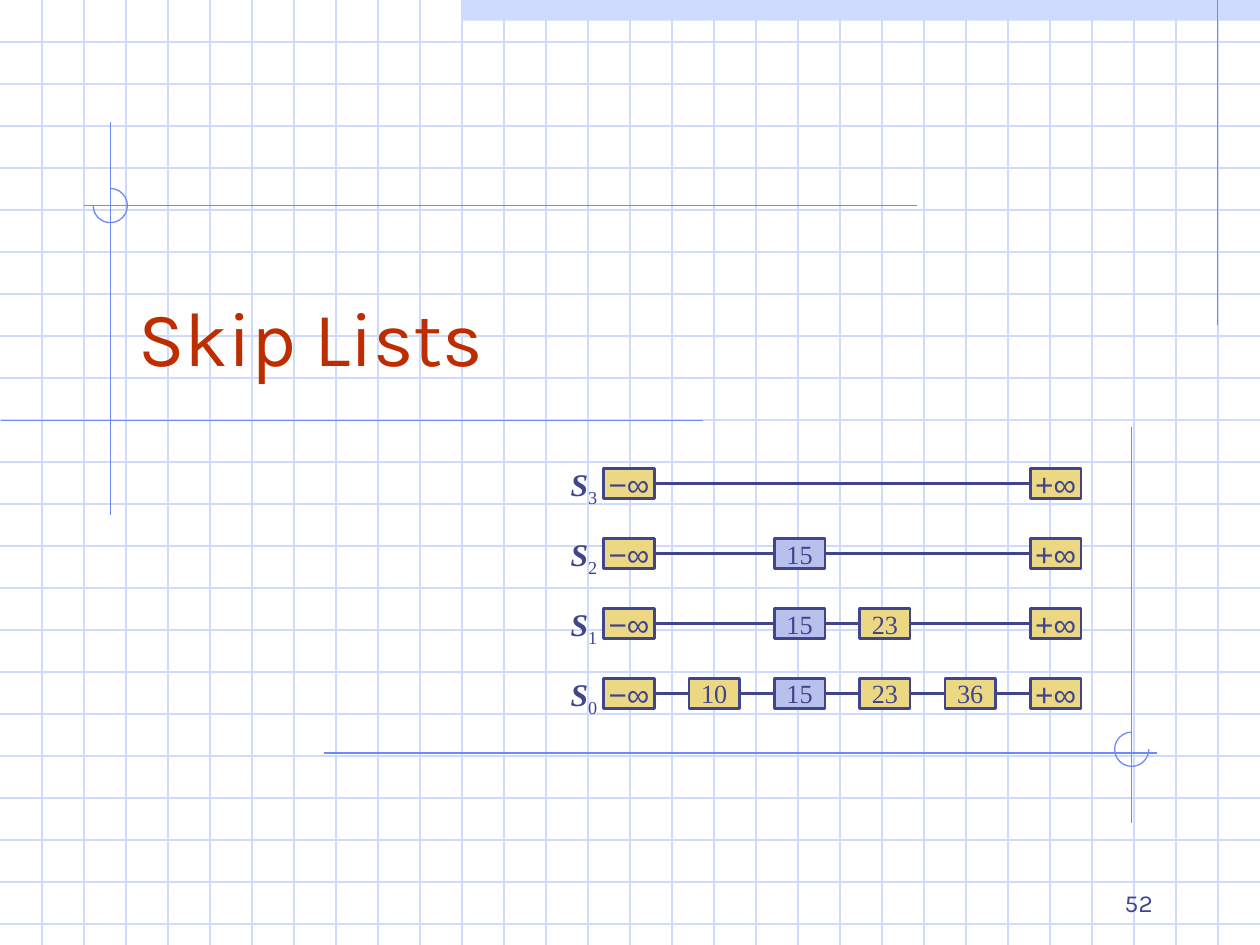
from lxml.etree import SubElement
from pptx import Presentation
from pptx.dml.color import RGBColor
from pptx.enum.shapes import MSO_CONNECTOR as Link, MSO_SHAPE as Shape
from pptx.enum.text import MSO_ANCHOR as Anchor, PP_ALIGN as Align
from pptx.oxml.ns import qn
from pptx.util import Cm, Pt

GRID, ACCENT, INK = "CFDBFD", "6F89F7", "40458C"
YELLOW, BLUE, RED = "ECD882", "B7C1EB", "BE2D00"
WIDTH, HEIGHT = 25.4, 19.05


def paint(fill, color):
    """Make a shape, line or font fill solid with a hex colour."""
    fill.solid()
    fill.fore_color.rgb = RGBColor.from_string(color)


def write(box, text, size, font="Times New Roman", color=INK, align=Align.CENTER,
          anchor=Anchor.MIDDLE, wrap=False, strong=False, subscript=""):
    """Fill a box with one line; strong makes the main text bold italic."""
    frame = box.text_frame
    frame.word_wrap = wrap
    frame.vertical_anchor = anchor
    para = frame.paragraphs[0]
    para.alignment = align
    for part in filter(None, (text, subscript)):
        span = para.add_run()
        span.text = part
        span.font.size = Pt(size)
        span.font.name = font
        span.font.bold = span.font.italic = strong and part == text
        paint(span.font.fill, color)
    if subscript:
        span.font._element.set("baseline", "-25000")


deck = Presentation()
deck.slide_width, deck.slide_height = Cm(WIDTH), Cm(HEIGHT)
page = deck.slides.add_slide(deck.slide_layouts[6])
shapes = page.shapes

# Background: top bar, square grid, accent lines and three-quarter rings
bar = shapes.add_shape(Shape.RECTANGLE, Cm(9.31), 0, Cm(16.09), Cm(0.42))
bar.shadow.inherit = False
paint(bar.fill, GRID)
bar.line.fill.background()

step = WIDTH / 30
rules = [(0, row * step, WIDTH, row * step, GRID) for row in range(1, 23)]
rules += [(col * step, 0, col * step, HEIGHT, GRID) for col in range(1, 30)]
rules += [
    (24.55, 0, 24.55, 6.55, ACCENT),
    (2.23, 2.46, 2.23, 10.39, ACCENT),
    (14.17, 8.48, 0.02, 8.48, ACCENT),
    (18.49, 4.14, 1.7, 4.14, ACCENT),
    (6.53, 15.18, 23.32, 15.18, ACCENT),
    (22.81, 8.61, 22.81, 16.6, ACCENT),
]
for x1, y1, x2, y2, color in rules:
    rule = shapes.add_connector(Link.STRAIGHT, Cm(x1), Cm(y1), Cm(x2), Cm(y2))
    paint(rule.line.fill, color)
    rule.line.width = Pt(0.75)

for left, top, start, end in [(1.88, 3.8, -90, 180), (22.47, 14.76, 0, -90)]:
    ring = shapes.add_shape(Shape.ARC, Cm(left), Cm(top), Cm(0.69), Cm(0.69))
    ring.shadow.inherit = False
    ring.fill.background()
    paint(ring.line.fill, ACCENT)
    ring.line.width = Pt(0.75)
    # Angles are stored in 60000ths of a degree, adjustments in 100000ths
    ring.adjustments[0] = start % 360 * 0.6
    ring.adjustments[1] = end % 360 * 0.6

title = shapes.add_textbox(Cm(2.54), Cm(4.65), Cm(21.59), Cm(3.18))
write(title, "Skip Lists", 44, font="Karla", color=RED, align=Align.LEFT,
      anchor=Anchor.BOTTOM, wrap=True)

# Skip list: each key keeps its column on every level
columns = ["−∞", "10", "15", "23", "36", "+∞"]
levels = {
    "3": ["−∞", "+∞"],
    "2": ["−∞", "15", "+∞"],
    "1": ["−∞", "15", "23", "+∞"],
    "0": columns,
}
for row, (level, keys) in enumerate(levels.items()):
    top = 9.45 + row * 1.41
    label = shapes.add_textbox(Cm(11.25), Cm(top - 0.2), Cm(1.04), Cm(1.12))
    write(label, "S", 18, anchor=Anchor.TOP, strong=True, subscript=level)
    previous = None
    for key in keys:
        left = 12.17 + columns.index(key) * 1.72
        node = shapes.add_shape(Shape.RECTANGLE, Cm(left), Cm(top), Cm(1.02), Cm(0.6))
        node.shadow.inherit = False
        paint(node.fill, BLUE if key == "15" else YELLOW)
        paint(node.line.fill, INK)
        node.line.width = Pt(1.5)
        if key.isdigit():
            write(node, key, 15)
        else:
            write(node, key, 18, font="Arial")
        if previous:
            link = shapes.add_connector(Link.STRAIGHT, 0, 0, 0, 0)
            link.begin_connect(previous, 3)
            link.end_connect(node, 1)
            paint(link.line.fill, INK)
            link.line.width = Pt(1.5)
        previous = node

number = shapes.add_textbox(Cm(18.21), Cm(17.35), Cm(5.28), Cm(1.27))
write(number, "52", 14, font="Karla", align=Align.RIGHT, anchor=Anchor.BOTTOM, wrap=True)

# Connectors have no shadow property, so an empty effect list turns it off
for connector in shapes._spTree.iter(qn("p:cxnSp")):
    SubElement(connector.spPr, qn("a:effectLst"))

deck.save("out.pptx")
